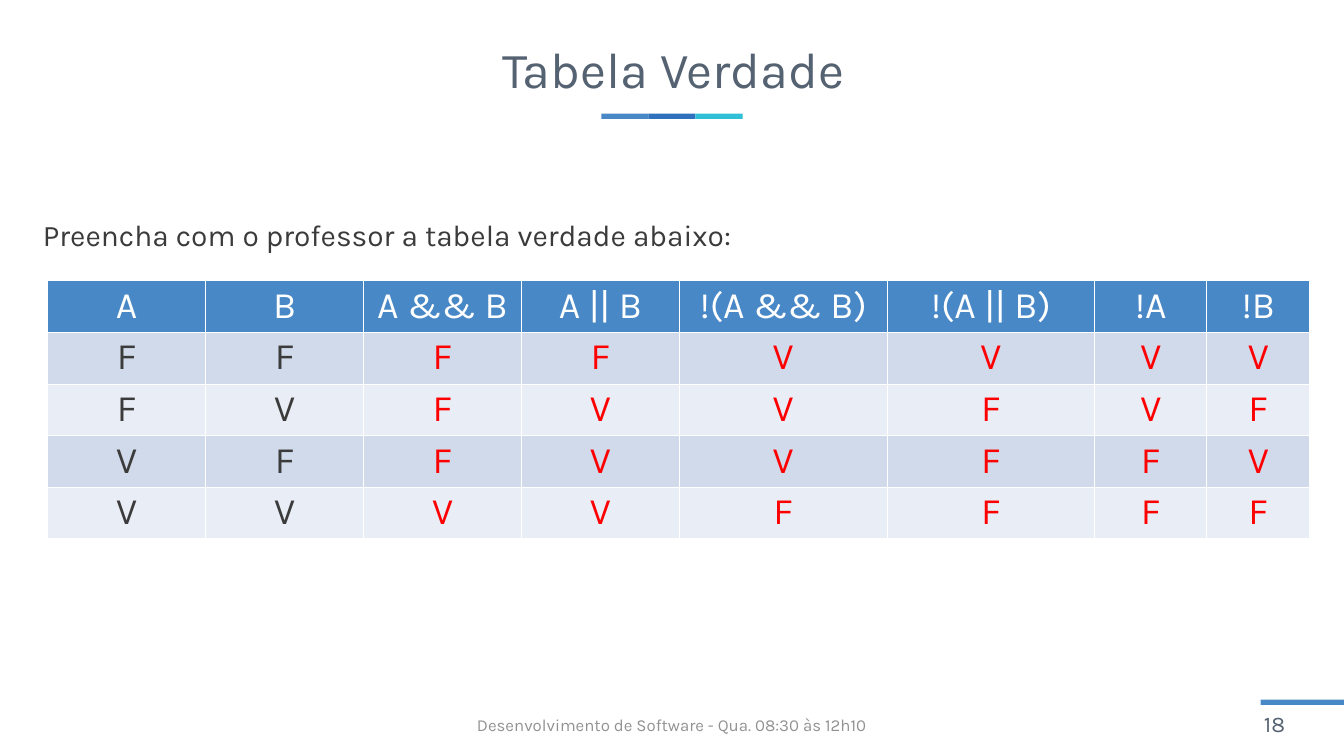
from lxml.etree import SubElement
from pptx import Presentation
from pptx.dml.color import RGBColor
from pptx.enum.shapes import MSO_SHAPE as Shape
from pptx.enum.text import MSO_ANCHOR as Anchor, MSO_AUTO_SIZE as AutoSize, PP_ALIGN as Align
from pptx.oxml.ns import qn
from pptx.util import Pt

PX = 9144
FONT = "Karla"
BLUE, NAVY, CYAN = "4988C6", "2F71BD", "2FBFD6"
SLATE, DARK, GRAY, RED, WHITE = "556272", "3B3B3B", "929292", "FF0000", "FFFFFF"
BANDS = ("D0DAEA", "E9EDF5")

HEADERS = ("A", "B", "A && B", "A || B", "!(A && B)", "!(A || B)", "!A", "!B")
TRUTH_ROWS = ("FFFFVVVV", "FVFVVFVF", "VFFVVFFV", "VVVVFFFF")
COLUMN_WIDTHS = (235, 235, 235, 235, 309, 309, 167, 153)
INPUT_COLUMNS = 2


def px(*lengths):
    return [length * PX for length in lengths]


def color(hex_string):
    return RGBColor.from_string(hex_string)


def write(text_frame, text, size, hex_color, align=Align.LEFT):
    text_frame.text = text
    paragraph = text_frame.paragraphs[0]
    paragraph.alignment = align
    font = paragraph.runs[0].font
    font.name, font.size, font.bold = FONT, Pt(size), False
    font.color.rgb = color(hex_color)
    return paragraph


def add_text(slide, box, text, size, hex_color, align=Align.LEFT, anchor=Anchor.MIDDLE):
    text_frame = slide.shapes.add_textbox(*px(*box)).text_frame
    text_frame.word_wrap = True
    text_frame.vertical_anchor = anchor
    write(text_frame, text, size, hex_color, align)


def add_bar(slide, box, hex_color):
    shape = slide.shapes.add_shape(Shape.RECTANGLE, *px(*box))
    shape.shadow.inherit = False
    shape.fill.solid()
    shape.fill.fore_color.rgb = color(hex_color)
    shape.line.fill.background()


def add_heading(slide, box, text):
    left, top, width, height = box
    bar_width, bar_height = 70, 8
    bars_left = left + (width - 3 * bar_width) // 2 - 2
    for index, hex_color in enumerate((BLUE, NAVY, CYAN)):
        bar_left = bars_left + index * bar_width
        add_bar(slide, (bar_left, top + 131, bar_width, bar_height), hex_color)
    title = slide.shapes.title
    title.left, title.top, title.width, title.height = px(*box)
    title.text_frame.auto_size = AutoSize.NONE
    title.text_frame.vertical_anchor = Anchor.MIDDLE
    write(title.text_frame, text, 54, SLATE, Align.CENTER).line_spacing = 0.9


def add_footer(slide, box, text, number):
    left, top, width, height = box
    right = left + width
    add_bar(slide, (right - 124, top, 124, 8), BLUE)
    add_text(slide, (left + 662, top + 7, 675, 60), text, 18, GRAY, Align.CENTER)
    add_text(slide, (right - 129, top + 9, 129, 53), number, 24, SLATE)


def add_borders(cell, hex_color):
    properties = cell._tc.get_or_add_tcPr()
    for side in ("a:lnL", "a:lnR", "a:lnT", "a:lnB"):
        line = SubElement(properties, qn(side), w=str(Pt(1)))
        fill = SubElement(line, qn("a:solidFill"))
        SubElement(fill, qn("a:srgbClr"), val=hex_color)


def format_cell(cell, text, text_color, fill_color):
    write(cell.text_frame, text, 40, text_color, Align.CENTER)
    add_borders(cell, WHITE)
    cell.fill.solid()
    cell.fill.fore_color.rgb = color(fill_color)


def add_truth_table(slide, box):
    rows = (HEADERS, *TRUTH_ROWS)
    table = slide.shapes.add_table(len(rows), len(HEADERS), *px(*box)).table
    for column, width in zip(table.columns, COLUMN_WIDTHS):
        column.width = width * PX
    for row_index, values in enumerate(rows):
        for column_index, value in enumerate(values):
            if row_index == 0:
                text_color, fill_color = WHITE, BLUE
            else:
                text_color = DARK if column_index < INPUT_COLUMNS else RED
                fill_color = BANDS[(row_index - 1) % 2]
            format_cell(table.cell(row_index, column_index), value, text_color, fill_color)


def main():
    presentation = Presentation()
    presentation.slide_width, presentation.slide_height = px(2000, 1125)
    slide = presentation.slides.add_slide(presentation.slide_layouts[5])
    add_heading(slide, (54, 38, 1896, 140), "Tabela Verdade")
    add_footer(slide, (0, 1041, 2000, 84), "Desenvolvimento de Software - Qua. 08:30 às 12h10", "18")
    add_truth_table(slide, (71, 418, sum(COLUMN_WIDTHS), 375))
    add_text(slide, (54, 318, 1199, 64), "Preencha com o professor a tabela verdade abaixo:",
             32, DARK, anchor=Anchor.TOP)
    presentation.save("out.pptx")


if __name__ == "__main__":
    main()
